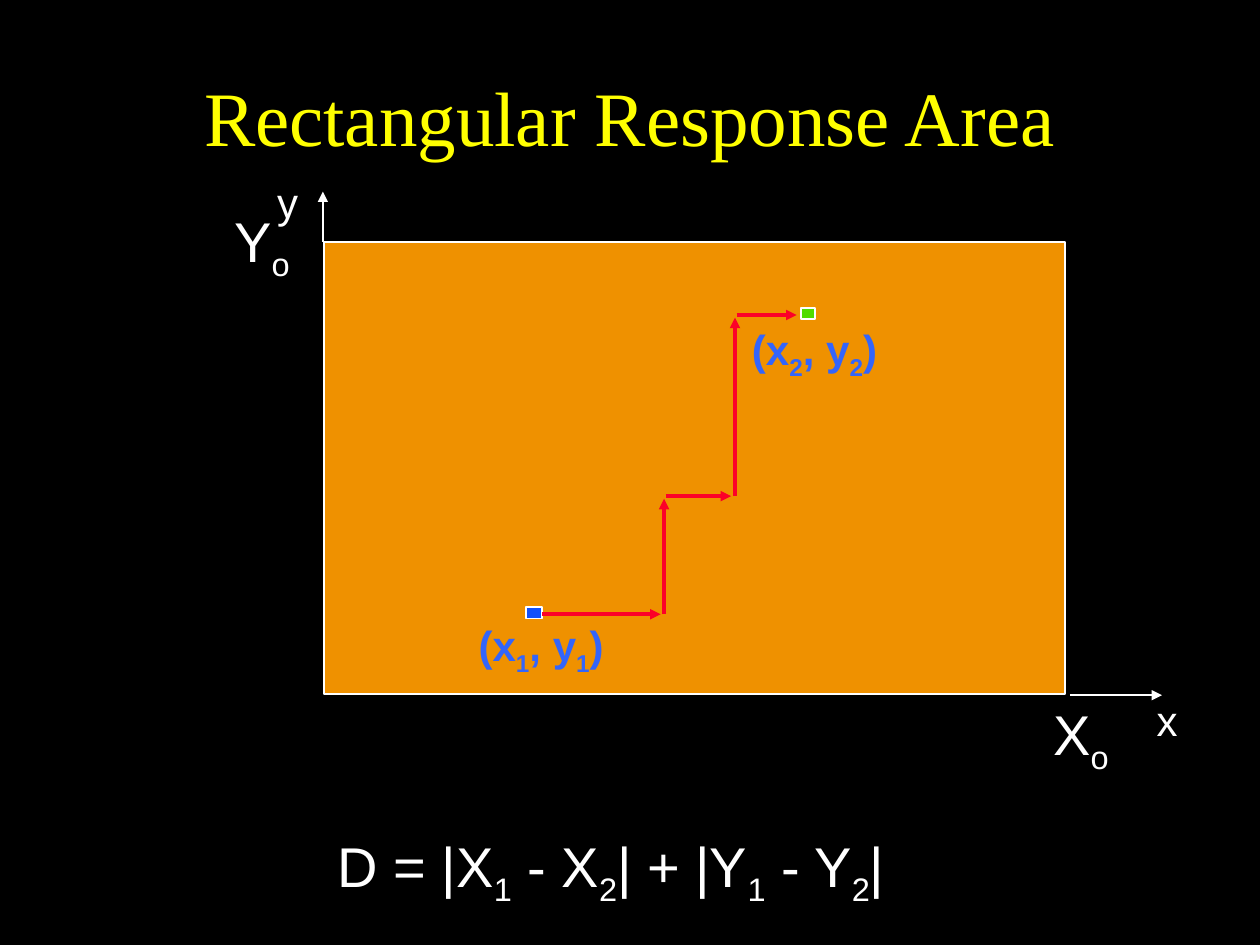
from lxml import etree
from pptx import Presentation
from pptx.dml.color import RGBColor
from pptx.enum.shapes import MSO_CONNECTOR, MSO_SHAPE
from pptx.enum.text import MSO_ANCHOR, MSO_AUTO_SIZE, PP_ALIGN
from pptx.oxml.ns import qn
from pptx.util import Pt

STRAIGHT = MSO_CONNECTOR.STRAIGHT
RECT = MSO_SHAPE.RECTANGLE
MIDDLE = MSO_ANCHOR.MIDDLE
FIT = MSO_AUTO_SIZE.SHAPE_TO_FIT_TEXT
CENTER = PP_ALIGN.CENTER
WHITE, RED, BLUE = "FFFFFF", "FC0128", "3365FB"


def color(hex_string):
    return RGBColor.from_string(hex_string)


prs = Presentation()
prs.slide_width, prs.slide_height = Pt(720), Pt(540)
s = prs.slides.add_slide(prs.slide_layouts[6])
s.background.fill.solid()
s.background.fill.fore_color.rgb = color("000000")

# Title
sp = s.shapes.add_textbox(Pt(54), Pt(18), Pt(612), Pt(96))
tf = sp.text_frame
tf.word_wrap = True
tf.vertical_anchor = MIDDLE
p = tf.paragraphs[0]
p.alignment = CENTER
r = p.add_run()
r.text = "Rectangular Response Area"
r.font.name, r.font.size = "Times New Roman", Pt(44)
r.font.color.rgb = color("FFFF00")

# Response area, then the start and end markers: left, top, width, height, fill
rects = [
    (185, 138.3, 423.4, 258.5, "EF9100"),
    (300.5, 346.8, 9.4, 6.6, "114FFB"),
    (457.9, 175.8, 8, 6.6, "51DC00"),
]
for x, y, w, h, fill in rects:
    sp = s.shapes.add_shape(RECT, Pt(x), Pt(y), Pt(w), Pt(h))
    sp.shadow.inherit = False
    sp.fill.solid()
    sp.fill.fore_color.rgb = color(fill)
    sp.line.color.rgb = color(WHITE)
    sp.line.width = Pt(1)

# Arrows: x1, y1, x2, y2, colour, line width
arrows = [
    # Axes
    (611.3, 397.3, 664, 397.3, WHITE, 1),
    (184.5, 138.3, 184.5, 109.5, WHITE, 1),
    # Stepped route between the markers
    (310, 351, 377.5, 351, RED, 2),
    (379.5, 351, 379.5, 285, RED, 2),
    (380.4, 283.5, 417.8, 283.5, RED, 2),
    (420, 283.5, 420, 181.5, RED, 2),
    (421, 180, 455.2, 180, RED, 2),
]
for x1, y1, x2, y2, line_color, width in arrows:
    sp = s.shapes.add_connector(STRAIGHT, Pt(x1), Pt(y1), Pt(x2), Pt(y2))
    sp.line.color.rgb = color(line_color)
    sp.line.width = Pt(width)
    etree.SubElement(sp.line._get_or_add_ln(), qn("a:tailEnd"), type="triangle")
    etree.SubElement(sp._element.spPr, qn("a:effectLst"))

# Labels: text with subscripts between underscores, left, top, width, height,
# size, colour, bold
labels = [
    ("x", 653.8, 393.1, 26, 36, 24, WHITE, False),
    ("y", 151.2, 97.2, 26, 36, 24, WHITE, False),
    ("(x_1_, y_1_)", 266.4, 350.6, 85.7, 39.6, 24, BLUE, True),
    ("(x_2_, y_2_)", 422.6, 181.4, 95, 39.6, 24, BLUE, True),
    ("D = |X_1_ - X_2_| + |Y_1_ - Y_2_|", 185.8, 471.6, 327.6, 50.4, 32, WHITE, False),
    ("X_o_", 594.7, 396, 46, 50.4, 32, WHITE, False),
    ("Y_o_", 126.7, 114.5, 46, 50.4, 32, WHITE, False),
]
for text, x, y, w, h, size, text_color, bold in labels:
    sp = s.shapes.add_textbox(Pt(x), Pt(y), Pt(w), Pt(h))
    tf = sp.text_frame
    tf.word_wrap = False
    tf.auto_size = FIT
    p = tf.paragraphs[0]
    for i, part in enumerate(text.split("_")):
        if not part:
            continue
        r = p.add_run()
        r.text = part
        r.font.name, r.font.size, r.font.bold = "Arial", Pt(size), bold
        r.font.color.rgb = color(text_color)
        if i % 2:
            r._r.get_or_add_rPr().set("baseline", "-25000")

prs.save("out.pptx")
